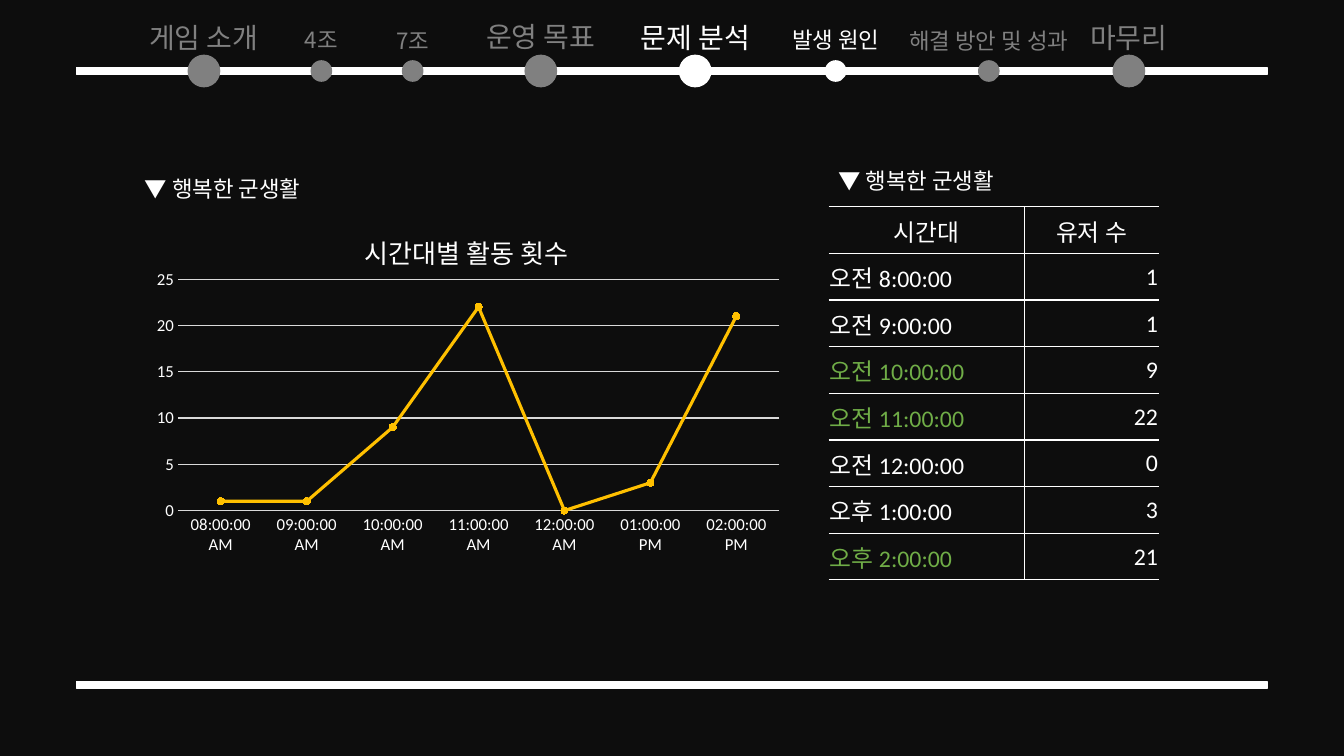
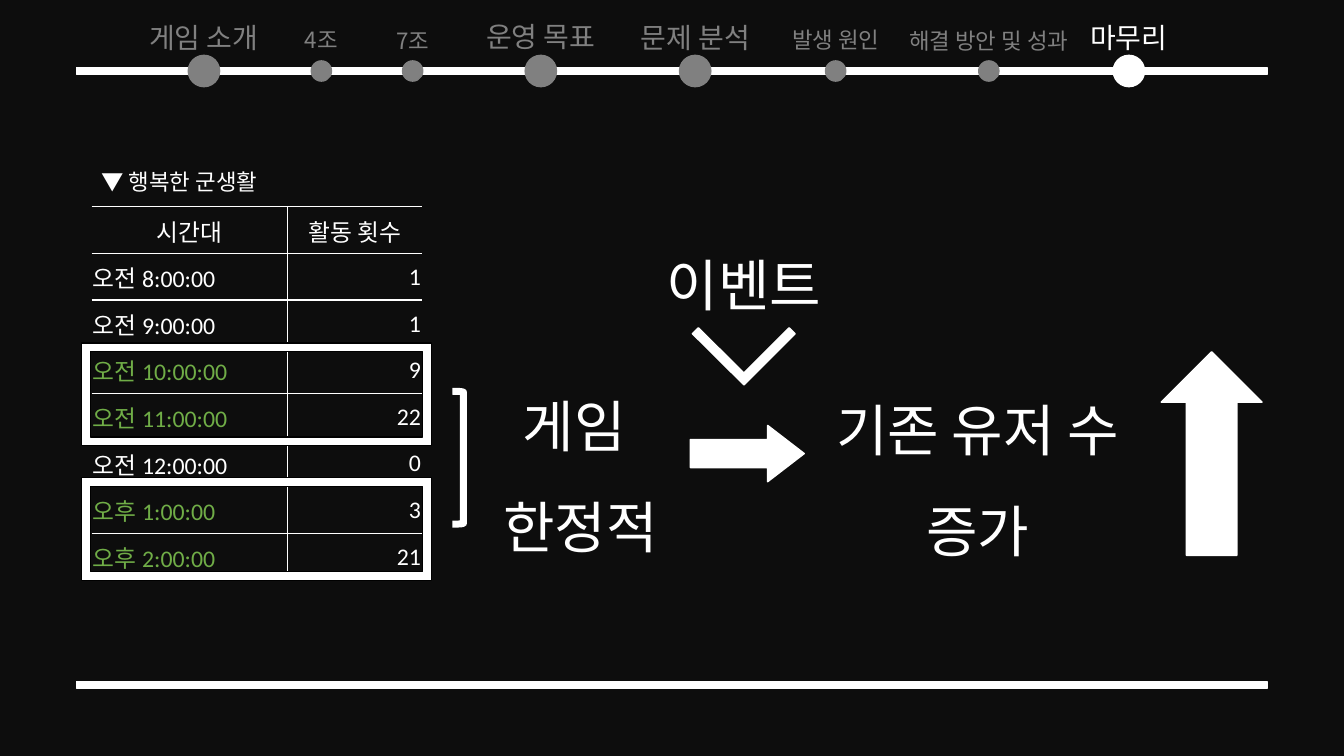
from dataclasses import dataclass
from typing import Optional, Sequence

from pptx import Presentation
from pptx.chart.data import CategoryChartData
from pptx.dml.color import RGBColor
from pptx.enum.chart import XL_CHART_TYPE, XL_MARKER_STYLE, XL_TICK_MARK
from pptx.enum.shapes import MSO_SHAPE as SHP
from pptx.enum.text import MSO_ANCHOR, PP_ALIGN as AL
from pptx.oxml.ns import qn
from pptx.oxml.xmlchemy import OxmlElement as Element
from pptx.slide import Slide
from pptx.util import Cm, Pt

BG, WHITE, GRAY, GREEN, AMBER, BLACK, GRID = (
    "0D0D0D", "FFFFFF", "808080", "70AD47", "FFC000", "000000", "D9D9D9")
KOREAN, LATIN = "Noto Sans CJK KR", "Calibri"
NAV_Y = 1.79
HOURS = ["오전 8:00:00", "오전 9:00:00", "오전 10:00:00", "오전 11:00:00",
         "오전 12:00:00", "오후 1:00:00", "오후 2:00:00"]
COUNTS = [1, 1, 9, 22, 0, 3, 21]
COMMUNITY = "▼ 행복한 군생활"


@dataclass
class Stop:
    label: str
    center: float
    top: float
    width: float = 3.43
    major: bool = True


@dataclass
class Figure:
    kind: SHP
    left: float
    top: float
    width: float
    height: float
    adjustments: Sequence[float] = ()
    rotation: float = 0
    fill: Optional[str] = WHITE
    line: str = WHITE
    line_width: float = 1


@dataclass
class Label:
    lines: Sequence[str]
    left: float
    top: float
    width: float
    height: float
    size: float = 16
    color: str = WHITE
    align: AL = AL.LEFT
    spacing: float = 1.5


STOPS = [
    Stop("게임 소개", 5.14, 0.05),
    Stop("4조", 8.1, 0.2, 1.7, False),
    Stop("7조", 10.4, 0.23, 1.7, False),
    Stop("운영 목표", 13.63, 0.03),
    Stop("문제 분석", 17.52, 0.05),
    Stop("발생 원인", 21.06, 0.2, 3.12, False),
    Stop("해결 방안 및 성과", 24.92, 0.23, 4.78, False),
    Stop("마무리", 28.45, 0.05),
]

CONCLUSION_FIGURES = [
    Figure(SHP.FRAME, 2.06, 8.64, 8.81, 2.59, [0.085], line=BLACK),
    Figure(SHP.FRAME, 2.06, 12.04, 8.81, 2.59, [0.085], line=BLACK),
    Figure(SHP.RIGHT_BRACKET, 11.4, 9.86, 0.28, 3.35, fill=None, line_width=5),
    Figure(SHP.RIGHT_ARROW, 27.97, 10.16, 5.13, 2.54, rotation=270),
    Figure(SHP.RIGHT_ARROW, 17.4, 10.72, 2.87, 1.42, [0.5, 0.65]),
]

CHEVRON = [(17.45, 8.41), (18.75, 9.7), (20.04, 8.41),
           (19.89, 8.26), (18.75, 9.4), (17.6, 8.26)]

CONCLUSION_LABELS = [
    Label([COMMUNITY], 2.31, 3.78, 4.75, 1.17),
    Label(["기존 유저 수 증가"], 20.47, 8.99, 8.33, 5.08, 40, align=AL.CENTER),
    Label(["게임 ", "한정적"], 11.51, 8.89, 6.25, 5.08, 40, align=AL.CENTER),
    Label(["이벤트"], 15.62, 5.33, 6.25, 2.51, 40, align=AL.CENTER),
]


def rgb(value: str) -> RGBColor:
    return RGBColor.from_string(value)


def style_font(font, size: float, color: str, name: str) -> None:
    font.size, font.bold, font.name = Pt(size), False, name
    font.color.rgb = rgb(color)


def style_run(r, size: float, color: str, name: str = KOREAN) -> None:
    style_font(r.font, size, color, name)
    ea = Element("a:ea")
    ea.set("typeface", KOREAN)
    r.font._element.find(qn("a:latin")).addnext(ea)


def style_shape(sp, fill: Optional[str], line: str, line_width: float) -> None:
    sp.shadow.inherit = False
    if fill is None:
        sp.fill.background()
    else:
        sp.fill.solid()
        sp.fill.fore_color.rgb = rgb(fill)
    sp.line.color.rgb = rgb(line)
    sp.line.width = Pt(line_width)


def add_figure(s: Slide, fig: Figure) -> None:
    sp = s.shapes.add_shape(fig.kind, Cm(fig.left), Cm(fig.top), Cm(fig.width), Cm(fig.height))
    sp.rotation = fig.rotation
    for i, value in enumerate(fig.adjustments):
        sp.adjustments[i] = value
    style_shape(sp, fig.fill, fig.line, fig.line_width)


def add_polygon(s: Slide, points: Sequence[tuple[float, float]]) -> None:
    start, *rest = [(Cm(x), Cm(y)) for x, y in points]
    builder = s.shapes.build_freeform(*start)
    builder.add_line_segments(rest, close=True)
    style_shape(builder.convert_to_shape(), WHITE, WHITE, 1)


def add_label(s: Slide, label: Label) -> None:
    sp = s.shapes.add_textbox(Cm(label.left), Cm(label.top), Cm(label.width), Cm(label.height))
    tf = sp.text_frame
    tf.word_wrap = True
    tf.text = "\n".join(label.lines)
    for p in tf.paragraphs:
        p.alignment, p.line_spacing = label.align, label.spacing
        for r in p.runs:
            style_run(r, label.size, label.color)


def add_bar(s: Slide, top: float) -> None:
    add_figure(s, Figure(SHP.RECTANGLE, 1.93, top, 30, 0.18))


def add_nav(s: Slide, active: Sequence[str]) -> None:
    add_bar(s, NAV_Y - 0.09)
    for stop in STOPS:
        color = WHITE if stop.label in active else GRAY
        dot, size, height, spacing = (0.79, 20, 1.35, 1.4) if stop.major else (0.51, 16, 1.27, 1.5)
        add_label(s, Label([stop.label], stop.center - stop.width / 2, stop.top, stop.width,
                           height, size, color, AL.CENTER, spacing))
        add_figure(s, Figure(SHP.OVAL, stop.center - dot / 2, NAV_Y - dot / 2, dot, dot,
                             fill=color, line=color))


def set_borders(cell, visible: str) -> None:
    tc_pr = cell._tc.get_or_add_tcPr()
    for i, side in enumerate("LRTB"):
        ln = Element(f"a:ln{side}")
        if side in visible:
            ln.set("w", str(Pt(1)))
            fill = Element("a:solidFill")
            color = Element("a:srgbClr")
            color.set("val", WHITE)
            fill.append(color)
        else:
            fill = Element("a:noFill")
        ln.append(fill)
        tc_pr.insert(i, ln)


def add_hours_table(s: Slide, left: float, count_title: str, marked: Sequence[str]) -> None:
    rows = [("시간대", count_title), *zip(HOURS, map(str, COUNTS))]
    frame = s.shapes.add_table(len(rows), 2, Cm(left), Cm(5.21), Cm(8.33), Cm(9.4))
    table = frame.table
    table.first_row = table.horz_banding = False
    table.columns[0].width, table.columns[1].width = Cm(4.93), Cm(3.4)
    for y, row in enumerate(rows):
        for x, text in enumerate(row):
            cell = table.cell(y, x)
            cell.fill.background()
            set_borders(cell, "LTB" if x else "RTB")
            cell.vertical_anchor = MSO_ANCHOR.MIDDLE
            cell.margin_left = cell.margin_right = cell.margin_top = Cm(0.03)
            cell.margin_bottom = 0
            p = cell.text_frame.paragraphs[0]
            p.text = text
            p.alignment = AL.CENTER if y == 0 else AL.RIGHT if x else AL.LEFT
            style_run(p.runs[0], 17, GREEN if text in marked else WHITE, LATIN)


def set_layout(parent, index: int, **values) -> None:
    for old in parent.findall(qn("c:layout")):
        parent.remove(old)
    layout, manual = Element("c:layout"), Element("c:manualLayout")
    for tag, value in values.items():
        item = Element(f"c:{tag}")
        item.set("val", str(value))
        manual.append(item)
    layout.append(manual)
    parent.insert(index, layout)


def add_activity_chart(s: Slide) -> None:
    data = CategoryChartData()
    data.categories = [f"{h:02}:00:00 {half}" for h, half in
                       [(h, "AM") for h in range(8, 13)] + [(1, "PM"), (2, "PM")]]
    data.add_series("Series 1", COUNTS)
    chart = s.shapes.add_chart(XL_CHART_TYPE.LINE_MARKERS, Cm(3.4), Cm(5.21),
                               Cm(16.64), Cm(9.42), data).chart
    style_font(chart.font, 10, WHITE, LATIN)
    chart.has_legend = False
    chart.has_title = True
    p = chart.chart_title.text_frame.paragraphs[0]
    p.text = "시간대별 활동 횟수"
    style_run(p.runs[0], 18.6, WHITE)

    for axis in (chart.category_axis, chart.value_axis):
        axis.major_tick_mark = axis.minor_tick_mark = XL_TICK_MARK.NONE
        style_font(axis.tick_labels.font, 12, WHITE, LATIN)
    value_axis = chart.value_axis
    value_axis.minimum_scale, value_axis.maximum_scale, value_axis.major_unit = 0, 25, 5
    value_axis.format.line.fill.background()
    for line in (chart.category_axis.format.line, value_axis.major_gridlines.format.line):
        line.color.rgb = rgb(GRID)
        line.width = Pt(0.75)

    plot = chart.plots[0]
    plot.vary_by_categories = False
    series = plot.series[0]
    series.smooth = False
    series.format.line.color.rgb = rgb(AMBER)
    series.format.line.width = Pt(2.25)
    marker = series.marker
    marker.style, marker.size = XL_MARKER_STYLE.CIRCLE, 5
    marker.format.fill.solid()
    marker.format.fill.fore_color.rgb = rgb(AMBER)
    marker.format.line.color.rgb = rgb(AMBER)

    root = chart.element.find(qn("c:chart"))
    set_layout(root.find(qn("c:title")), 1, xMode="edge", yMode="edge", x=0.34, y=0.05)
    set_layout(root.find(qn("c:plotArea")), 0, layoutTarget="inner", xMode="edge",
               yMode="edge", x=0.065, y=0.194, w=0.911, h=0.619)


def new_slide(prs: Presentation) -> Slide:
    s = prs.slides.add_slide(prs.slide_layouts[6])
    s.background.fill.solid()
    s.background.fill.fore_color.rgb = rgb(BG)
    add_bar(s, 17.17)
    return s


def build_analysis(prs: Presentation) -> None:
    s = new_slide(prs)
    add_activity_chart(s)
    add_hours_table(s, 20.88, "유저 수", [HOURS[2], HOURS[3], HOURS[6]])
    for left, top in ((20.88, 3.76), (3.4, 3.94)):
        add_label(s, Label([COMMUNITY], left, top, 6.76, 1.17))
    add_nav(s, ["문제 분석", "발생 원인"])


def build_conclusion(prs: Presentation) -> None:
    s = new_slide(prs)
    add_hours_table(s, 2.31, "활동 횟수", [*HOURS[2:4], *HOURS[5:]])
    for fig in CONCLUSION_FIGURES:
        add_figure(s, fig)
    add_polygon(s, CHEVRON)
    for label in CONCLUSION_LABELS:
        add_label(s, label)
    add_nav(s, ["마무리"])


def main() -> None:
    prs = Presentation()
    prs.slide_width, prs.slide_height = Cm(33.87), Cm(19.05)
    build_analysis(prs)
    build_conclusion(prs)
    prs.save("out.pptx")


if __name__ == "__main__":
    main()
